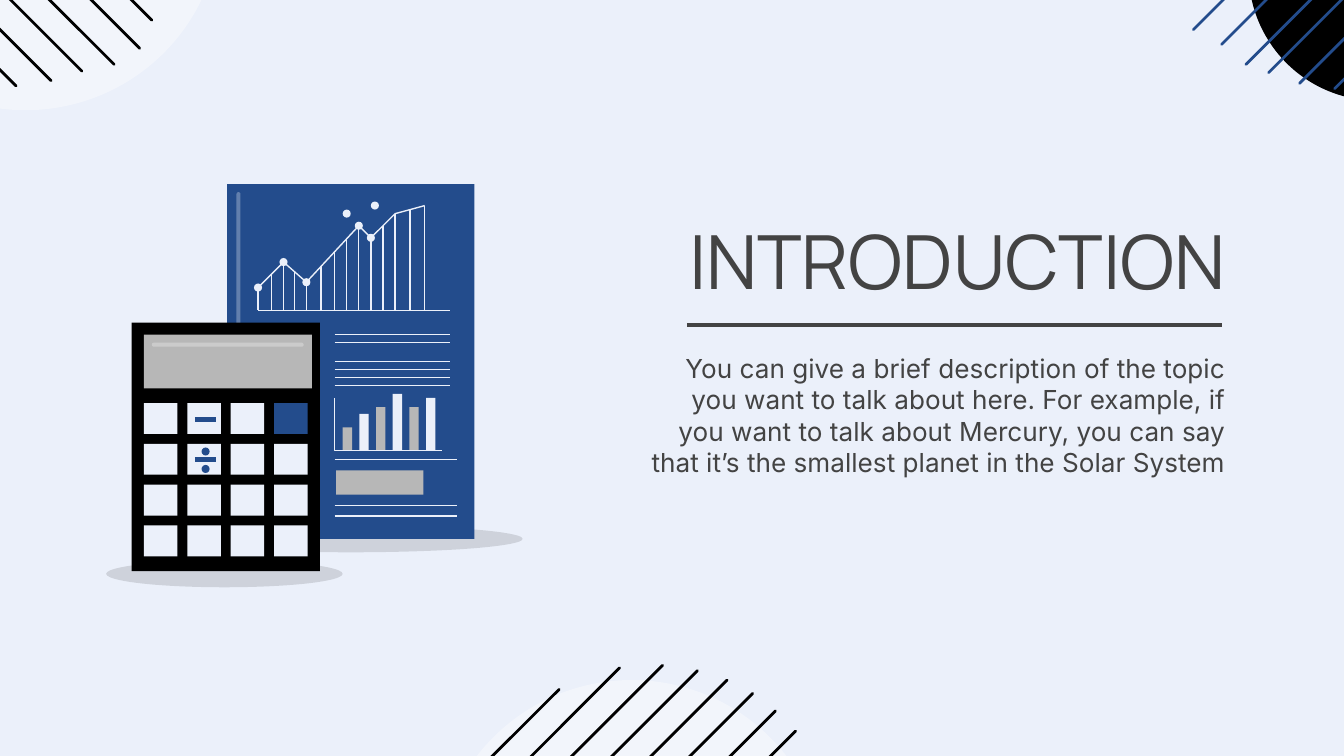
import pptx
import pptx.dml.color
import pptx.enum.shapes
import pptx.enum.text
import pptx.oxml
import pptx.oxml.ns
import pptx.util
from pptx.util import Inches

PALE, BLUE, BLACK, GREY, TEXT, WHITE = (
    "EBF0FA", "234C8C", "000000", "B7B7B7", "434343", "FFFFFF")
SHAPE = pptx.enum.shapes.MSO_SHAPE
BASE_Y = 2.31
TREND = [(1.92, 2.14), (2.11, 1.95), (2.28, 2.10), (2.67, 1.68),
         (2.76, 1.77), (2.94, 1.59), (3.16, 1.53)]
DROP_X = [1.92, 2.02, 2.11, 2.19, 2.28, 2.39, 2.49, 2.58,
          2.67, 2.76, 2.85, 2.94, 3.05, 3.16]
DOTS = TREND[:5] + [(2.58, 1.59), (2.79, 1.53)]
BAR_TOPS = [3.18, 3.08, 3.03, 2.93, 3.03, 2.96]

# Each stripe: x and y of its inner end, then its horizontal run.
TOP_RIGHT = [(8.88, 0.22, 2.04), (9.09, 0.33, 1.99), (9.27, 0.48, 1.95),
             (9.44, 0.54, 1.86), (9.67, 0.62, 1.71), (9.93, 0.66, 1.49)]
TOP_LEFT = [(1.13, 0.15, 2), (1.04, 0.36, 2.06), (0.85, 0.48, 2),
            (0.61, 0.53, 1.86), (0.38, 0.60, 1.71), (0.12, 0.64, 1.49)]
BOTTOM = [(5.92, 5.44, 2), (5.77, 5.29, 2.06), (5.60, 5.16, 2),
          (5.41, 5.06, 1.86), (5.19, 4.99, 1.71), (4.93, 4.95, 1.49),
          (4.61, 4.97, 1.16), (4.16, 5.13, 0.54)]


def rgb(color):
    return pptx.dml.color.RGBColor.from_string(color)


def add_filled(s, kind, x, y, w, h, color, alpha=100):
    """Add a borderless shape; alpha is its opacity in percent."""
    sp = s.shapes.add_shape(kind, Inches(x), Inches(y), Inches(w), Inches(h))
    sp.shadow.inherit = False
    sp.fill.solid()
    sp.fill.fore_color.rgb = rgb(color)
    sp.line.fill.background()
    if alpha < 100:
        clr = sp._element.spPr.find(".//" + pptx.oxml.ns.qn("a:srgbClr"))
        clr.append(pptx.oxml.parse_xml(
            f'<a:alpha {pptx.oxml.ns.nsdecls("a")} val="{alpha * 1000}"/>'))
    return sp


def add_rect(s, x, y, w, h, color):
    return add_filled(s, SHAPE.RECTANGLE, x, y, w, h, color)


def add_ellipse(s, x, y, w, h, color, alpha=100):
    return add_filled(s, SHAPE.OVAL, x, y, w, h, color, alpha)


def add_highlight(s, x, y, w, h):
    sp = add_filled(s, SHAPE.ROUNDED_RECTANGLE, x, y, w, h, WHITE, 29)
    sp.adjustments[0] = 0.5


def add_line(s, x1, y1, x2, y2, color=PALE, width=0.75, cap="flat"):
    sp = s.shapes.add_connector(
        pptx.enum.shapes.MSO_CONNECTOR.STRAIGHT,
        Inches(x1), Inches(y1), Inches(x2), Inches(y2))
    sp.line.color.rgb = rgb(color)
    sp.line.width = pptx.util.Pt(width)
    sp_pr = sp._element.spPr
    sp_pr.find(pptx.oxml.ns.qn("a:ln")).set("cap", cap)
    sp_pr.append(pptx.oxml.parse_xml(
        f'<a:effectLst {pptx.oxml.ns.nsdecls("a")}/>'))


def add_polyline(s, points):
    pts = [(Inches(x), Inches(y)) for x, y in points]
    builder = s.shapes.build_freeform(*pts[0])
    builder.add_line_segments(pts[1:], close=False)
    sp = builder.convert_to_shape()
    sp.shadow.inherit = False
    sp.fill.background()
    sp.line.color.rgb = rgb(PALE)
    sp.line.width = pptx.util.Pt(0.75)


def add_stripes(s, ends, dx, dy, color):
    """Draw 45-degree stripes from their inner ends towards (dx, dy)."""
    for x, y, run in ends:
        add_line(s, x, y, x + dx * run, y + dy * run, color, 1.5, "rnd")


def fill_placeholder(sp, text, x, y, w, h, font, size, anchor):
    sp.left, sp.top, sp.width, sp.height = map(Inches, (x, y, w, h))
    tf = sp.text_frame
    tf.text = text
    tf.word_wrap = True
    tf.auto_size = pptx.enum.text.MSO_AUTO_SIZE.NONE
    tf.vertical_anchor = anchor
    tf.margin_left = tf.margin_right = Inches(0.1)
    tf.margin_top = tf.margin_bottom = Inches(0.1)
    p = tf.paragraphs[0]
    p.alignment = pptx.enum.text.PP_ALIGN.RIGHT
    p.space_before = pptx.util.Pt(0)
    r = p.runs[0]
    r.font.name = font
    r.font.size = pptx.util.Pt(size)
    r.font.color.rgb = rgb(TEXT)


def trend_y(x):
    """Height of the trend line at x."""
    for (x1, y1), (x2, y2) in zip(TREND, TREND[1:]):
        if x1 <= x <= x2:
            return y1 + (y2 - y1) * (x - x1) / (x2 - x1)


def draw_corners(s):
    add_ellipse(s, 9.29, -1.17, 1.92, 1.92, BLACK)
    add_stripes(s, TOP_RIGHT, 1, -1, BLUE)
    add_ellipse(s, -1.26, -2.06, 2.9, 2.88, WHITE, 36)
    add_stripes(s, TOP_LEFT, -1, -1, BLACK)
    add_ellipse(s, 3.25, 5.06, 2.9, 2.88, WHITE, 36)
    add_stripes(s, BOTTOM, -1, 1, BLACK)


def draw_report(s):
    add_ellipse(s, 1.33, 3.91, 2.56, 0.2, BLACK, 12)
    add_rect(s, 1.69, 1.37, 1.84, 2.64, BLUE)
    add_highlight(s, 1.76, 1.43, 0.03, 1.13)

    add_line(s, 1.92, BASE_Y, 3.35, BASE_Y)
    add_polyline(s, TREND)
    for x in DROP_X:
        add_line(s, x, trend_y(x), x, BASE_Y)
    for x, y in DOTS:
        add_ellipse(s, x - 0.03, y - 0.03, 0.06, 0.06, PALE)

    for y in (2.49, 2.55, 2.69, 2.75, 2.81, 2.87):
        add_line(s, 2.49, y, 3.35, y)
    for y in (3.42, 3.76, 3.84):
        add_line(s, 2.49, y, 3.4, y)
    for i, top in enumerate(BAR_TOPS):
        add_rect(s, 2.55 + i * 0.62 / 5, top, 0.07, 3.35 - top,
                 PALE if i % 2 else GREY)
    add_polyline(s, [(2.49, 2.96), (2.49, 3.35), (3.29, 3.35)])
    add_rect(s, 2.5, 3.5, 0.65, 0.18, GREY)


def draw_calculator(s):
    add_ellipse(s, 0.79, 4.17, 1.76, 0.2, BLACK, 12)
    add_rect(s, 0.98, 2.4, 1.4, 1.85, BLACK)
    add_rect(s, 1.07, 2.49, 1.25, 0.4, GREY)
    add_highlight(s, 1.13, 2.55, 1.13, 0.03)
    for row in range(4):
        for col in range(4):
            add_rect(s, 1.07 + col * 0.97 / 3, 3 + row * 0.91 / 3, 0.25, 0.23,
                     BLUE if (row, col) == (0, 3) else PALE)
    for y in (3.12, 3.42):
        add_line(s, 1.45, y, 1.61, y, BLUE, 2.85)
    for y in (3.33, 3.46):
        add_ellipse(s, 1.5, y, 0.06, 0.06, BLUE)


def main():
    prs = pptx.Presentation()
    prs.slide_width, prs.slide_height = Inches(10), Inches(10 * 9 / 16)
    s = prs.slides.add_slide(prs.slide_layouts[0])
    s.background.fill.solid()
    s.background.fill.fore_color.rgb = rgb(PALE)

    draw_corners(s)
    anchors = pptx.enum.text.MSO_ANCHOR
    fill_placeholder(s.shapes.title, "INTRODUCTION", 4.68, 1.49, 4.54, 0.88,
                     "Manrope", 40, anchors.MIDDLE)
    fill_placeholder(
        s.placeholders[1],
        "You can give a brief description of the topic you want to talk about "
        "here. For example, if you want to talk about Mercury, you can say "
        "that it’s the smallest planet in the Solar System",
        4.68, 2.52, 4.54, 1.55, "Inter", 14, anchors.TOP)
    add_line(s, 5.11, 2.42, 9.09, 2.42, TEXT, 2.25)
    draw_report(s)
    draw_calculator(s)
    prs.save("out.pptx")


if __name__ == "__main__":
    main()
